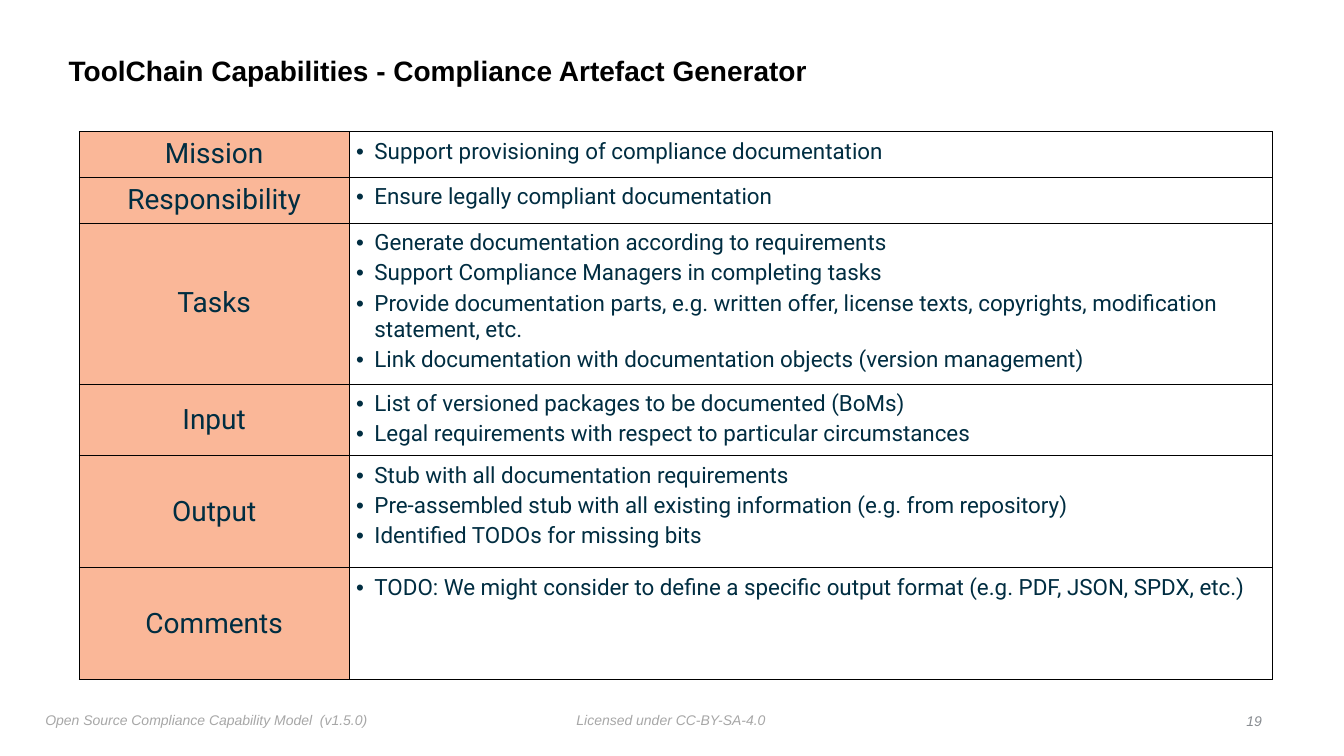
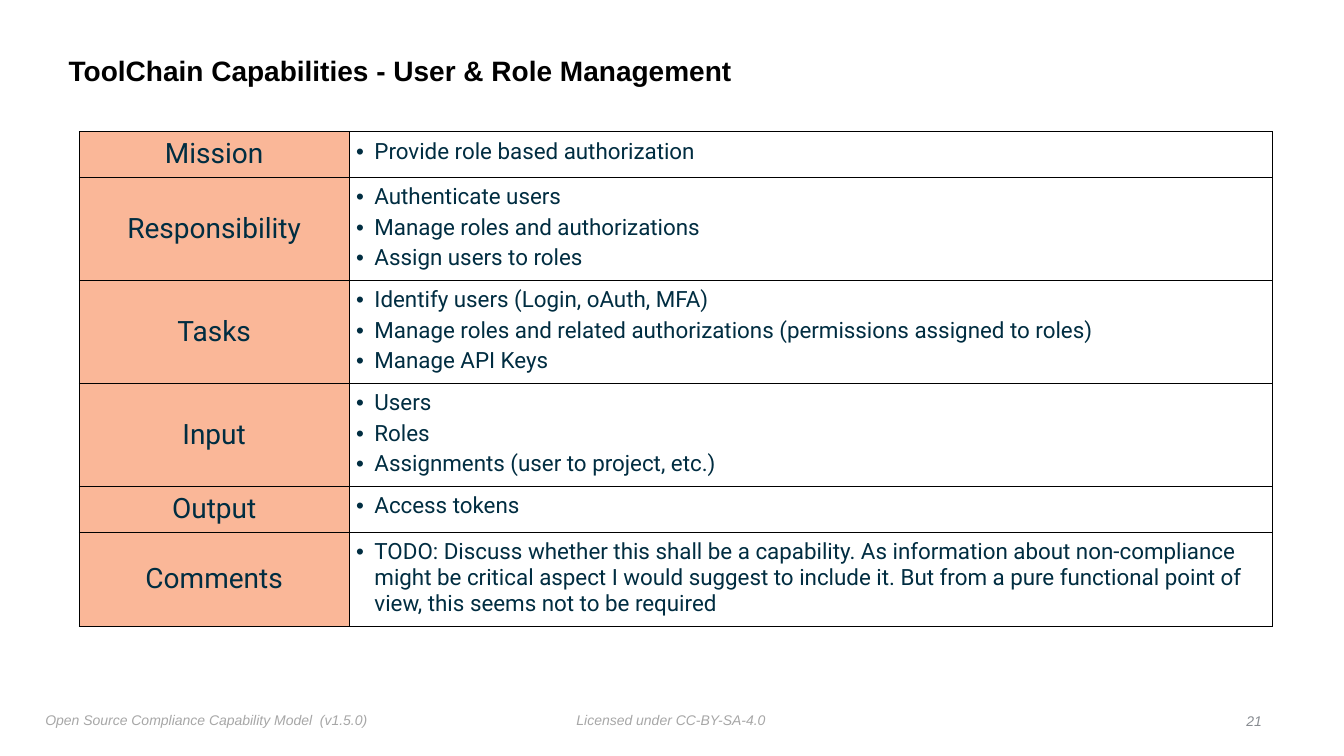
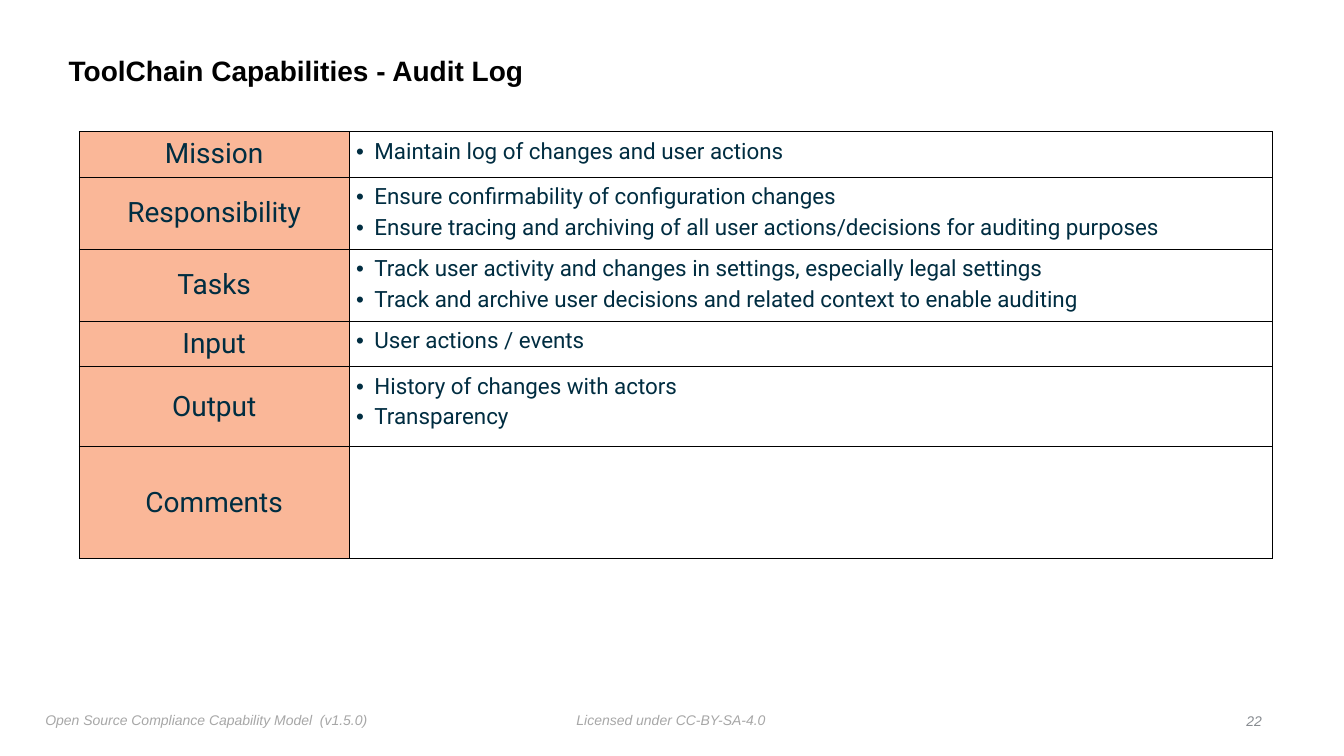
"""Build three capability slides, each with a title, a table and a footer."""
from lxml import etree
from pptx import Presentation
from pptx import util as u
from pptx.dml import color
from pptx.enum import text
from pptx.oxml import ns

INK, PEACH, GREY, SLATE = "002D41", "FAB798", "A7A7A7", "888C91"
HEAD = dict(name="Arial", size=20, bold=True, color="000000")
FOOT = dict(name="Arial", size=10, italic=True, color=GREY)
LABEL = dict(name="Roboto", size=20, color=INK)
ITEM = dict(name="Roboto", size=16, color=INK)
LABELS = ["Mission", "Responsibility", "Tasks", "Input", "Output", "Comments"]

SLIDES = [
    (19, "Compliance Artefact Generator", [
        (32.6, ["Support provisioning of compliance documentation"]),
        (32.6, ["Ensure legally compliant documentation"]),
        (112, ["Generate documentation according to requirements",
               "Support Compliance Managers in completing tasks",
               "Provide documentation parts, e.g. written offer, license texts, "
               "copyrights, modification statement, etc.",
               "Link documentation with documentation objects (version management)"]),
        (50, ["List of versioned packages to be documented (BoMs)",
              "Legal requirements with respect to particular circumstances"]),
        (80, ["Stub with all documentation requirements",
              "Pre-assembled stub with all existing information (e.g. from repository)",
              "Identified TODOs for missing bits"]),
        (80, ["TODO: We might consider to define a specific output format "
              "(e.g. PDF, JSON, SPDX, etc.)"]),
    ]),
    (21, "User & Role Management", [
        (32.6, ["Provide role based authorization"]),
        (71.6, ["Authenticate users", "Manage roles and authorizations",
                "Assign users to roles"]),
        (71.6, ["Identify users (Login, oAuth, MFA)",
                "Manage roles and related authorizations (permissions assigned to roles)",
                "Manage API Keys"]),
        (71.6, ["Users", "Roles", "Assignments (user to project, etc.)"]),
        (32.6, ["Access tokens"]),
        (65.7, ["TODO: Discuss whether this shall be a capability. As information "
                "about non-compliance might be critical aspect I would suggest to "
                "include it. But from a pure functional point of view, this seems "
                "not to be required"]),
    ]),
    (22, "Audit Log", [
        (32.6, ["Maintain log of changes and user actions"]),
        (50, ["Ensure confirmability of configuration changes",
              "Ensure tracing and archiving of all user actions/decisions "
              "for auditing purposes"]),
        (50, ["Track user activity and changes in settings, especially legal settings",
              "Track and archive user decisions and related context to enable auditing"]),
        (32.6, ["User actions / events"]),
        (57.2, ["History of changes with actors", "Transparency"]),
        (80, []),
    ]),
]


def rgb(code):
    """Turn a hex string into a colour."""
    return color.RGBColor.from_string(code)


def style(font, form):
    """Set font attributes from a dict of format values."""
    for key, val in form.items():
        if key == "color":
            font.color.rgb = rgb(val)
        else:
            setattr(font, key, u.Pt(val) if key == "size" else val)


def inset(part, size):
    """Give a cell or text frame the same margin on every side."""
    for side in ("left", "top", "right", "bottom"):
        setattr(part, "margin_" + side, u.Pt(size))


def write(slide, box, words, form, wrap=False, anchor=text.MSO_ANCHOR.TOP,
          align=text.PP_ALIGN.LEFT, lead=1.0):
    """Put one line of text in a box."""
    frame = slide.shapes.add_textbox(*map(u.Pt, box)).text_frame
    inset(frame, 3.6)
    frame.word_wrap, frame.vertical_anchor = wrap, anchor
    para = frame.paragraphs[0]
    para.text, para.alignment, para.line_spacing = words, align, lead
    style(para.runs[0].font, form)


def border(cell):
    """Draw a thin black line on each side of a cell."""
    props = cell._tc.get_or_add_tcPr()
    for side in "LRTB":
        line = etree.SubElement(props, ns.qn("a:ln" + side), w=str(u.Pt(0.5)))
        fill = etree.SubElement(line, ns.qn("a:solidFill"))
        etree.SubElement(fill, ns.qn("a:srgbClr"), val="000000")


def label(cell, words):
    """Fill a heading cell."""
    border(cell)
    cell.fill.solid()
    cell.fill.fore_color.rgb = rgb(PEACH)
    inset(cell, 0)
    cell.vertical_anchor = text.MSO_ANCHOR.MIDDLE
    para = cell.text_frame.paragraphs[0]
    para.text, para.alignment = words, text.PP_ALIGN.CENTER
    style(para.runs[0].font, LABEL)


def items(cell, lines):
    """Fill a cell with bullets."""
    border(cell)
    cell.fill.background()
    inset(cell, 5)
    frame = cell.text_frame
    for num, line in enumerate(lines):
        para = frame.add_paragraph() if num else frame.paragraphs[0]
        para.text = line
        props = para._p.get_or_add_pPr()
        props.set("marL", str(u.Pt(13)))
        props.set("indent", str(u.Pt(-13)))
        etree.SubElement(props, ns.qn("a:buFont"), typeface="Arial")
        etree.SubElement(props, ns.qn("a:buChar"), char="•")
        para.space_before = u.Pt(3 if num else 0)
        style(para.runs[0].font, ITEM)


def grid(slide, box, rows):
    """Draw the capability table from its left, top and width."""
    left, top, width = box
    high = sum(row[0] for row in rows)
    table = slide.shapes.add_table(
        len(rows), 2, *map(u.Pt, (left, top, width, high))).table
    table.first_row = table.horz_banding = False
    first = 193
    for col, wide in zip(table.columns, (first, width - first)):
        col.width = u.Pt(wide)
    for num, (high, lines) in enumerate(rows):
        table.rows[num].height = u.Pt(high)
        label(table.cell(num, 0), LABELS[num])
        items(table.cell(num, 1), lines)


def footer(slide, box, page):
    """Write the model name, the licence and the page number along a band."""
    left, top, width, high = box
    write(slide, (left, top, 239, high),
          "Open Source Compliance Capability Model  (v1.5.0)", FOOT)
    write(slide, (left + 379.4, top, 143.3, high), "Licensed under CC-BY-SA-4.0", FOOT)
    write(slide, (left + width - 19.4, top + 1.2, 19.4, high), str(page),
          dict(FOOT, color=SLATE), anchor=text.MSO_ANCHOR.MIDDLE,
          align=text.PP_ALIGN.RIGHT)


def main():
    """Build and save the slides."""
    deck = Presentation()
    deck.slide_width, deck.slide_height = u.Pt(960), u.Pt(540)
    for page, name, rows in SLIDES:
        slide = deck.slides.add_slide(deck.slide_layouts[6])
        write(slide, (45.4, 28, 774, 46.8), "ToolChain Capabilities - " + name, HEAD,
              wrap=True, anchor=text.MSO_ANCHOR.MIDDLE, lead=0.9)
        grid(slide, (56.5, 94, 852.5), rows)
        footer(slide, (28.8, 504.8, 876.2, 18), page)
    deck.save("out.pptx")


if __name__ == "__main__":
    main()
